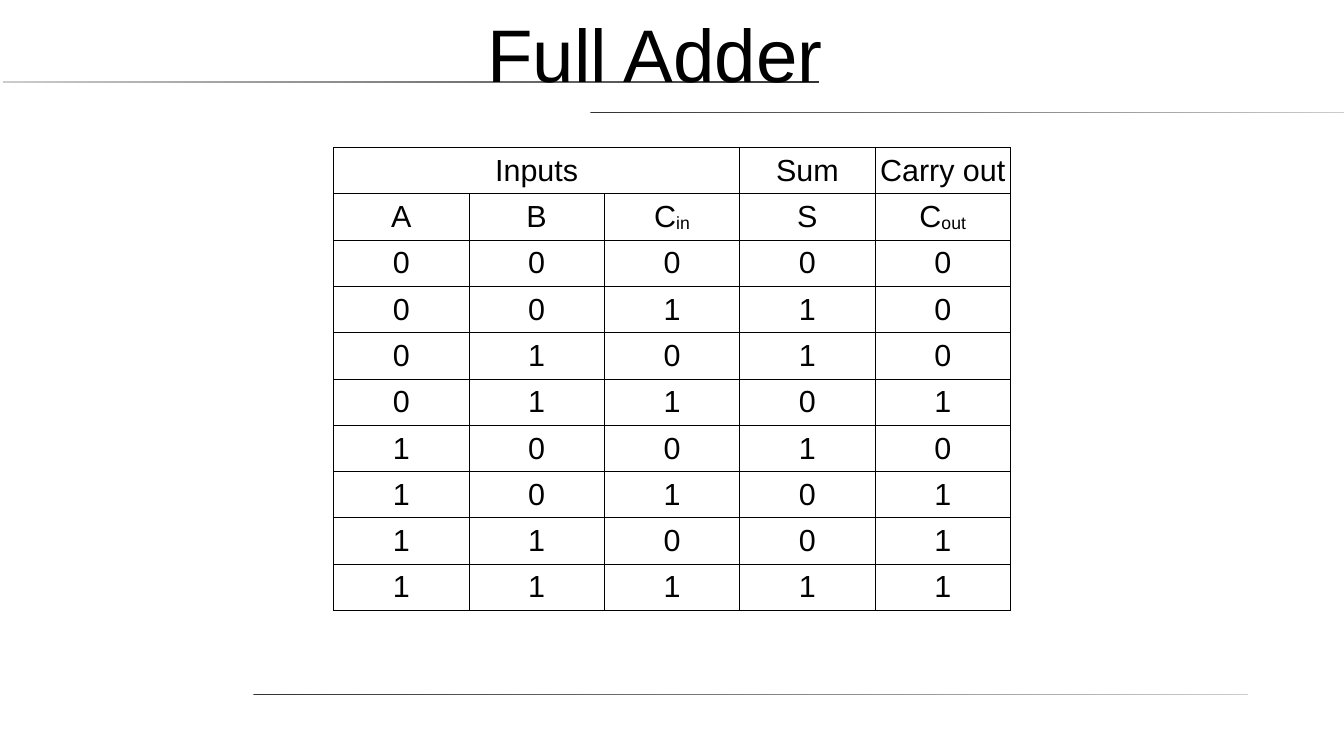
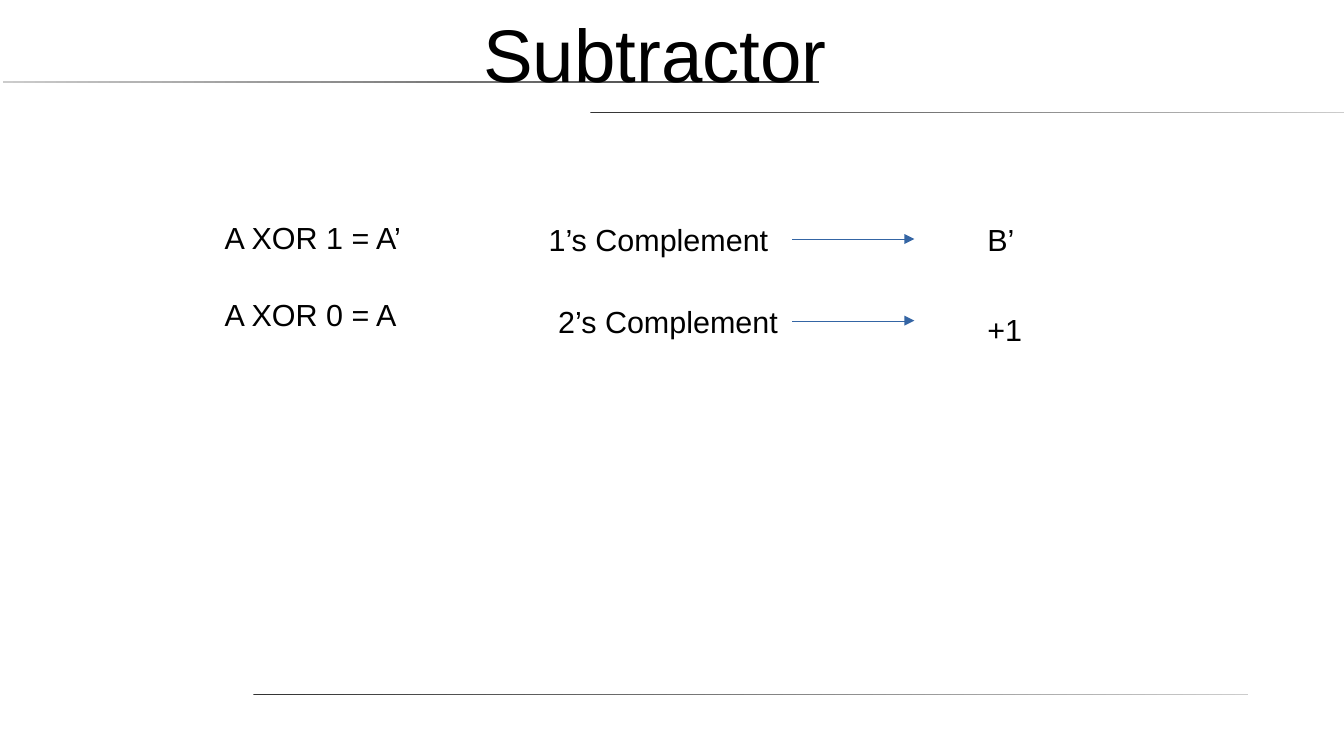
from itertools import product

from lxml import etree
from pptx import Presentation
from pptx.dml.color import RGBColor
from pptx.enum.shapes import MSO_CONNECTOR, MSO_SHAPE
from pptx.enum.text import MSO_ANCHOR, PP_ALIGN
from pptx.oxml.ns import qn
from pptx.util import Cm, Pt

STRAIGHT = MSO_CONNECTOR.STRAIGHT
RECTANGLE = MSO_SHAPE.RECTANGLE
MIDDLE, TOP = MSO_ANCHOR.MIDDLE, MSO_ANCHOR.TOP
CENTER, LEFT = PP_ALIGN.CENTER, PP_ALIGN.LEFT

# Shared look
FONT = "Arial"
BLACK, DARK, LIGHT, BLUE = "000000", "333333", "CCCCCC", "3465A4"
TITLE_SIZE, BODY_SIZE = 44, 18
BLANK_LAYOUT = 6
BORDER_WIDTH = 0.57

# Decorative rules: left, top, width, height, start and end colour
RULES = [
    (0.06, 1.68, 17, 0.05, LIGHT, DARK),
    (12.3, 2.33, 15.74, 0.02, DARK, LIGHT),
    (5.28, 14.46, 20.72, 0.02, DARK, LIGHT),
]

# Table headings: each is a list of (text, is subscript) runs
GROUP_HEADINGS = [[("Inputs", False)], [], [], [("Sum", False)], [("Carry out", False)]]
SIGNAL_HEADINGS = [
    [("A", False)],
    [("B", False)],
    [("C", False), ("in", True)],
    [("S", False)],
    [("C", False), ("out", True)],
]

# Text and place (left, top, width) of the subtractor notes
NOTES = [
    ("A XOR 1 = A’", 4.43, 4.44, 4.5),
    ("A XOR 0 = A", 4.43, 6.04, 4.5),
    ("1’s Complement", 11.18, 4.47, 5.3),
    ("2’s Complement", 11.38, 6.18, 5.3),
    ("B’", 20.32, 4.47, 1.5),
    ("+1", 20.32, 6.35, 1.5),
]
ARROW_LEFT, ARROW_RIGHT = 16.51, 19.05
ARROW_HEIGHTS = [4.98, 6.68]


def color(hex_value):
    return RGBColor.from_string(hex_value)


def apply_format(target, values):
    for name, value in values.items():
        setattr(target, name, value)


def add_run(paragraph, text, size, subscript=False):
    run = paragraph.add_run()
    run.text = text
    apply_format(run.font, {"name": FONT, "size": Pt(size)})
    run.font.color.rgb = color(BLACK)
    if subscript:
        run.font._element.set("baseline", "-8000")


def add_text(slide, text, left, top, width, height=0.97, size=BODY_SIZE,
             alignment=LEFT, anchor=TOP, margins=(0.25, 0.13)):
    box = slide.shapes.add_textbox(Cm(left), Cm(top), Cm(width), Cm(height))
    horizontal, vertical = map(Cm, margins)
    apply_format(box.text_frame, {
        "word_wrap": True, "vertical_anchor": anchor,
        "margin_left": horizontal, "margin_right": horizontal,
        "margin_top": vertical, "margin_bottom": vertical,
    })
    paragraph = box.text_frame.paragraphs[0]
    paragraph.alignment = alignment
    add_run(paragraph, text, size)


def add_rule(slide, left, top, width, height, start, end):
    shape = slide.shapes.add_shape(RECTANGLE, Cm(left), Cm(top), Cm(width), Cm(height))
    shape.shadow.inherit = False
    shape.line.fill.background()
    shape.fill.gradient()
    shape.fill.gradient_angle = 0
    for stop, hex_value in zip(shape.fill.gradient_stops, (start, end)):
        stop.color.rgb = color(hex_value)


def add_arrow(slide, left, right, height):
    arrow = slide.shapes.add_connector(STRAIGHT, Cm(left), Cm(height), Cm(right), Cm(height))
    arrow.line.color.rgb = color(BLUE)
    line = arrow.line._get_or_add_ln()
    # Hairline: a zero width has to be written out to override the theme
    line.set("w", "0")
    etree.SubElement(line, qn("a:tailEnd"), type="triangle")
    etree.SubElement(arrow._element.spPr, qn("a:effectLst"))


def add_borders(cell):
    properties = cell._tc.get_or_add_tcPr()
    for side in ("lnL", "lnR", "lnT", "lnB"):
        line = etree.SubElement(properties, qn(f"a:{side}"), w=str(Pt(BORDER_WIDTH)))
        fill = etree.SubElement(line, qn("a:solidFill"))
        etree.SubElement(fill, qn("a:srgbClr"), val=BLACK)


def fill_cell(cell, runs):
    add_borders(cell)
    cell.fill.background()
    apply_format(cell, {
        "vertical_anchor": MIDDLE,
        "margin_left": Cm(0.1), "margin_right": Cm(0.1),
        "margin_top": Cm(0.09), "margin_bottom": Cm(0.09),
    })
    paragraph = cell.text_frame.paragraphs[0]
    paragraph.alignment = CENTER
    for text, subscript in runs:
        add_run(paragraph, text, BODY_SIZE, subscript)


def adder_rows():
    rows = [GROUP_HEADINGS, SIGNAL_HEADINGS]
    for bits in product((0, 1), repeat=3):
        carry, total = divmod(sum(bits), 2)
        rows.append([[(str(bit), False)] for bit in (*bits, total, carry)])
    return rows


def add_truth_table(slide, left, top, width, height):
    rows = adder_rows()
    frame = slide.shapes.add_table(len(rows), len(rows[0]),
                                   Cm(left), Cm(top), Cm(width), Cm(height))
    table = frame.table
    apply_format(table, {"first_row": False, "horz_banding": False})
    for row_index, row in enumerate(rows):
        for column_index, runs in enumerate(row):
            fill_cell(table.cell(row_index, column_index), runs)
    table.cell(0, 0).merge(table.cell(0, 2))


def add_titled_slide(presentation, title):
    slide = presentation.slides.add_slide(presentation.slide_layouts[BLANK_LAYOUT])
    for rule in RULES:
        add_rule(slide, *rule)
    add_text(slide, title, 0.4, 0.2, 26.5, 1.8, TITLE_SIZE, CENTER, MIDDLE, (0, 0))
    return slide


def main():
    presentation = Presentation()
    apply_format(presentation, {"slide_width": Cm(28), "slide_height": Cm(15.75)})

    # Truth table of the full adder
    adder = add_titled_slide(presentation, "Full Adder")
    add_truth_table(adder, 6.95, 3.07, 14.1, 9.65)

    # Complements used by the subtractor
    subtractor = add_titled_slide(presentation, "Subtractor")
    for note in NOTES:
        add_text(subtractor, *note)
    for height in ARROW_HEIGHTS:
        add_arrow(subtractor, ARROW_LEFT, ARROW_RIGHT, height)

    presentation.save("out.pptx")


if __name__ == "__main__":
    main()
